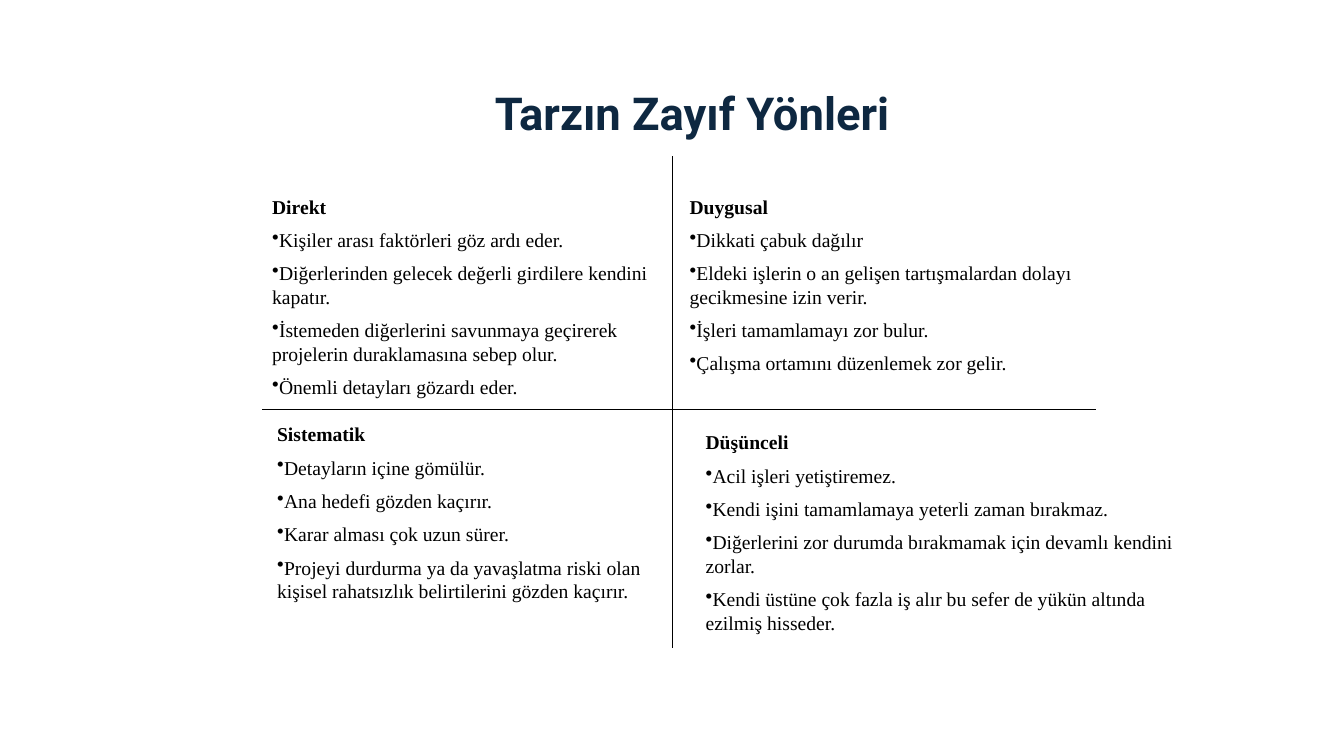
from dataclasses import dataclass

from lxml import etree
from pptx import Presentation
from pptx.dml.color import RGBColor
from pptx.enum.shapes import MSO_CONNECTOR
from pptx.enum.text import MSO_ANCHOR, PP_ALIGN
from pptx.oxml.ns import qn
from pptx.util import Inches, Pt

STRAIGHT = MSO_CONNECTOR.STRAIGHT
MIDDLE = MSO_ANCHOR.MIDDLE
CENTER = PP_ALIGN.CENTER


@dataclass(frozen=True)
class Theme:
    title_font: str = "Roboto"
    body_font: str = "Times New Roman"
    title_color: RGBColor = RGBColor(0x0E, 0x28, 0x41)
    ink: RGBColor = RGBColor(0, 0, 0)
    title_size: Pt = Pt(32.4)
    body_size: Pt = Pt(14)
    item_gap: Pt = Pt(7)
    line_width: Pt = Pt(0.75)


THEME = Theme()

AXES = [(6.67, 1.55, 6.67, 6.43), (2.6, 4.06, 10.87, 4.06)]

QUADRANTS = [
    ((2.6, 1.88, 4.02, 2.22), "Direkt", [
        "Kişiler arası faktörleri göz ardı eder.",
        "Diğerlerinden gelecek değerli girdilere kendini kapatır.",
        "İstemeden diğerlerini savunmaya geçirerek projelerin duraklamasına sebep olur.",
        "Önemli detayları gözardı eder.",
    ]),
    ((6.74, 1.88, 4.41, 2.34), "Duygusal", [
        "Dikkati çabuk dağılır",
        "Eldeki işlerin o an gelişen tartışmalardan dolayı gecikmesine izin verir.",
        "İşleri tamamlamayı zor bulur.",
        "Çalışma ortamını düzenlemek zor gelir.",
    ]),
    ((2.65, 4.14, 3.94, 2.34), "Sistematik", [
        "Detayların içine gömülür.",
        "Ana hedefi gözden kaçırır.",
        "Karar alması çok uzun sürer.",
        "Projeyi durdurma ya da yavaşlatma riski olan kişisel rahatsızlık "
        "belirtilerini gözden kaçırır.",
    ]),
    ((6.9, 4.22, 5.03, 2.57), "Düşünceli", [
        "Acil işleri yetiştiremez.",
        "Kendi işini tamamlamaya yeterli zaman bırakmaz.",
        "Diğerlerini zor durumda bırakmamak için devamlı kendini zorlar.",
        "Kendi üstüne çok fazla iş alır bu sefer de yükün altında ezilmiş hisseder.",
    ]),
]


def add_text_frame(page, bounds):
    frame = page.shapes.add_textbox(*map(Inches, bounds)).text_frame
    frame.word_wrap = True
    return frame


def write(para, text, font, size, color, bold):
    para.text = text
    para.font.name = font
    para.font.size = size
    para.font.color.rgb = color
    para.font.bold = bold


def add_bullet(para):
    properties = para._p.get_or_add_pPr()
    bullet = etree.Element(qn("a:buChar"), char="•")
    properties.insert_element_before(bullet, "a:tabLst", "a:defRPr", "a:extLst")


def add_title(page, text):
    frame = add_text_frame(page, (2.45, 0.86, 8.83, 0.58))
    frame.vertical_anchor = MIDDLE
    para = frame.paragraphs[0]
    para.alignment = CENTER
    para.line_spacing = 0.9
    write(para, text, THEME.title_font, THEME.title_size, THEME.title_color, True)


def add_axis(page, ends):
    axis = page.shapes.add_connector(STRAIGHT, *map(Inches, ends))
    axis.line.color.rgb = THEME.ink
    axis.line.width = THEME.line_width
    etree.SubElement(axis._element.spPr, qn("a:effectLst"))


def add_quadrant(page, bounds, heading, items):
    frame = add_text_frame(page, bounds)
    write(frame.paragraphs[0], heading, THEME.body_font, THEME.body_size, THEME.ink, True)
    for item in items:
        para = frame.add_paragraph()
        write(para, item, THEME.body_font, THEME.body_size, THEME.ink, False)
        para.space_before = THEME.item_gap
        add_bullet(para)


def main():
    deck = Presentation()
    deck.slide_width = Inches(13.33)
    deck.slide_height = Inches(7.5)
    page = deck.slides.add_slide(deck.slide_layouts[6])
    add_title(page, "Tarzın Zayıf Yönleri")
    for ends in AXES:
        add_axis(page, ends)
    for bounds, heading, items in QUADRANTS:
        add_quadrant(page, bounds, heading, items)
    deck.save("out.pptx")


if __name__ == "__main__":
    main()
